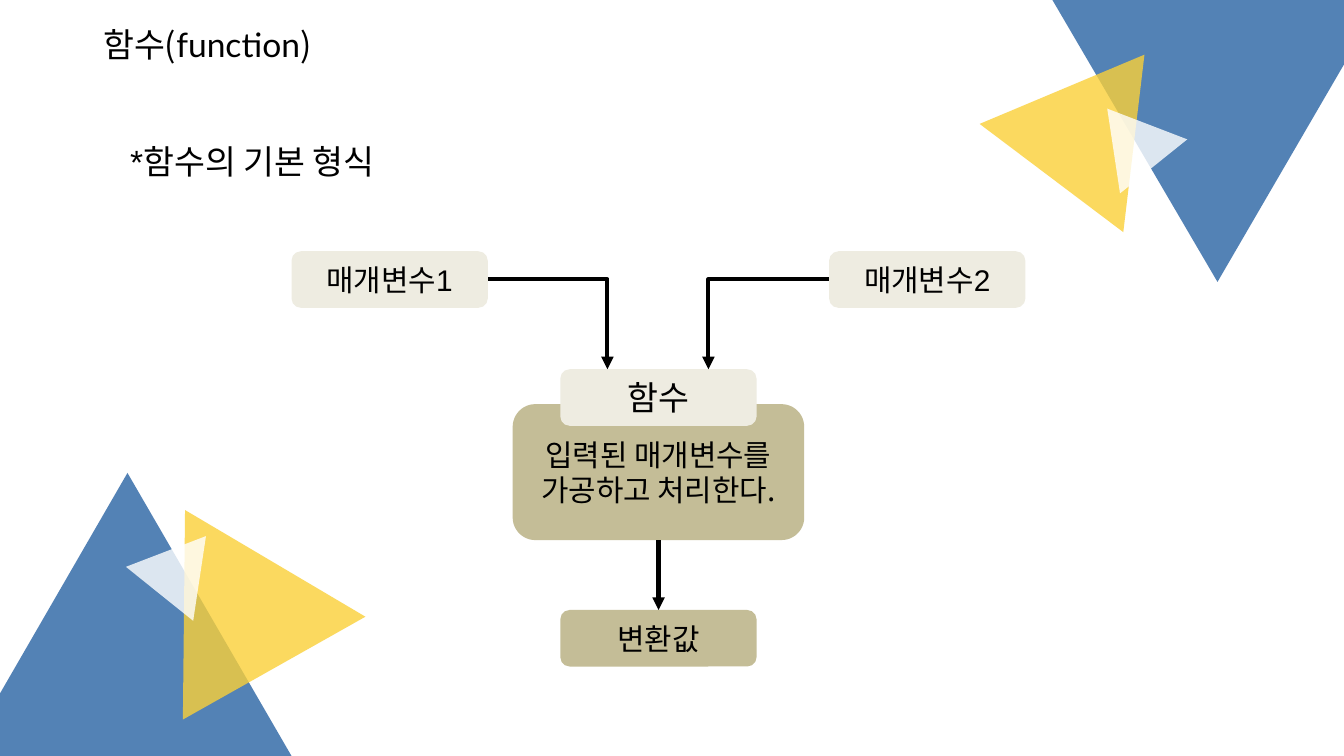
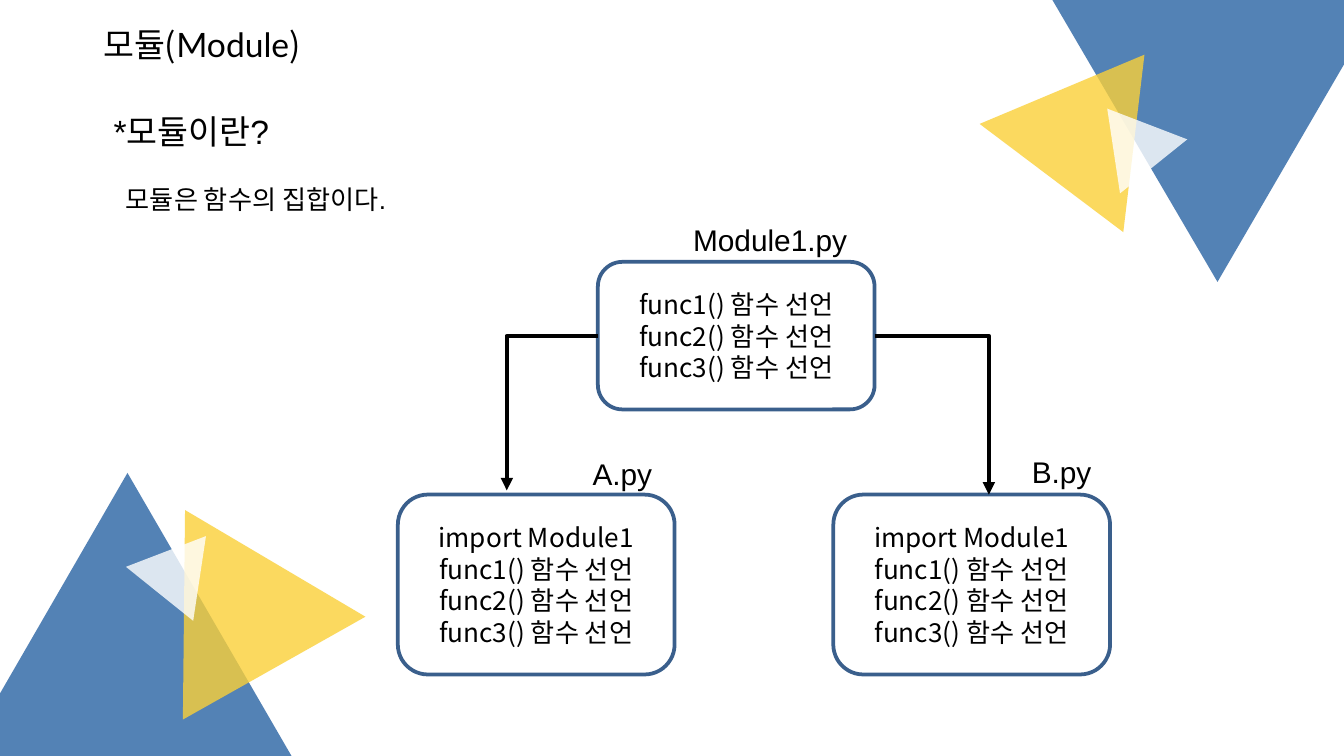
from dataclasses import dataclass

from lxml.etree import SubElement
from pptx import Presentation
from pptx.dml.color import RGBColor
from pptx.enum.shapes import MSO_CONNECTOR, MSO_SHAPE
from pptx.enum.text import MSO_ANCHOR, MSO_AUTO_SIZE, PP_ALIGN
from pptx.oxml.ns import qn
from pptx.presentation import Presentation as Deck
from pptx.shapes.autoshape import Shape
from pptx.shapes.connector import Connector
from pptx.slide import Slide
from pptx.text.text import _Paragraph as Paragraph
from pptx.util import Cm, Pt

BLUE = RGBColor(0x29, 0x63, 0xA3)
YELLOW = RGBColor(0xFA, 0xD0, 0x38)
WHITE = RGBColor(0xFF, 0xFF, 0xFF)
BLACK = RGBColor(0x00, 0x00, 0x00)
TAN = RGBColor(0xC4, 0xBD, 0x97)
CREAM = RGBColor(0xEE, 0xEC, 0xE1)
OUTLINE = RGBColor(0x3A, 0x5F, 0x8C)

HANGUL = "Noto Sans CJK KR"
LATIN = "Lato"
BODY = "Arial"

SLIDE_WIDTH, SLIDE_HEIGHT = 25.4, 14.29
TITLE_SIZE = 18
OPACITY = 80

NODE_WIDTH, NODE_HEIGHT = 3.71, 1.07
NODE_LEFT, NODE_STEP = 5.51, 5.08
PARAMETER_TOP, FUNCTION_TOP, RETURN_TOP = 4.75, 6.98, 11.53

FILE_WIDTH = 5.23
FILE_TOP = 9.35
FUNCTIONS = [f"func{number}() 함수 선언" for number in (1, 2, 3)]


@dataclass(frozen=True)
class Triangle:
    left: float
    top: float
    width: float
    height: float
    rotation: float
    color: RGBColor


@dataclass(frozen=True)
class Label:
    text: str
    left: float
    top: float
    width: float
    height: float
    size: int


@dataclass(frozen=True)
class Node:
    lines: list[str]
    left: float
    top: float
    width: float = NODE_WIDTH
    height: float = NODE_HEIGHT
    size: int = 16
    fill: RGBColor | None = None
    font: str = HANGUL


CORNERS = [
    [(2.41, 8.94), (5.51, SLIDE_HEIGHT), (0, SLIDE_HEIGHT), (0, 13.11)],
    [(19.89, 0), (SLIDE_WIDTH, 0), (SLIDE_WIDTH, 1.22), (23.01, 5.33)],
]
TRIANGLES = [
    Triangle(19.05, 0.74, 3.4, 2.92, 37, YELLOW),
    Triangle(2.36, 9.42, 3.96, 3.43, 330.6, YELLOW),
    Triangle(2.64, 9.98, 1.63, 1.4, 38.8, WHITE),
    Triangle(20.55, 1.9, 1.63, 1.4, 321.2, WHITE),
]


def paint_translucent(shape: Shape, color: RGBColor) -> None:
    shape.shadow.inherit = False
    shape.line.fill.background()
    shape.fill.solid()
    shape.fill.fore_color.rgb = color
    tint = shape._element.spPr.find(qn("a:solidFill")).find(qn("a:srgbClr"))
    SubElement(tint, qn("a:alpha"), val=str(OPACITY * 1000))


def draw_decoration(page: Slide) -> None:
    for corner in CORNERS:
        points = [(Cm(x), Cm(y)) for x, y in corner]
        builder = page.shapes.build_freeform(*points[0])
        builder.add_line_segments(points[1:], close=True)
        paint_translucent(builder.convert_to_shape(), BLUE)
    for item in TRIANGLES:
        triangle = page.shapes.add_shape(
            MSO_SHAPE.ISOSCELES_TRIANGLE,
            Cm(item.left), Cm(item.top), Cm(item.width), Cm(item.height),
        )
        triangle.rotation = item.rotation
        paint_translucent(triangle, item.color)


def style_paragraph(para: Paragraph, size: int, font: str) -> None:
    para.font.size = Pt(size)
    para.font.color.rgb = BLACK
    para.font.name = font
    defaults = para._p.get_or_add_pPr().find(qn("a:defRPr"))
    SubElement(defaults, qn("a:ea"), typeface=HANGUL)


def draw_label(page: Slide, label: Label) -> Paragraph:
    box = page.shapes.add_textbox(
        Cm(label.left), Cm(label.top), Cm(label.width), Cm(label.height)
    )
    box.text_frame.word_wrap = True
    box.text_frame.auto_size = MSO_AUTO_SIZE.SHAPE_TO_FIT_TEXT
    para = box.text_frame.paragraphs[0]
    para.text = label.text
    style_paragraph(para, label.size, BODY)
    return para


def draw_title(page: Slide, korean: str, english: str) -> None:
    para = draw_label(page, Label("", 1.7, 0.33, 7.62, 1.02, TITLE_SIZE))
    for text, font in ((f"{korean}(", HANGUL), (english, LATIN), (")", HANGUL)):
        span = para.add_run()
        span.text = text
        span.font.name = font


def draw_node(page: Slide, node: Node) -> Shape:
    box = page.shapes.add_shape(
        MSO_SHAPE.ROUNDED_RECTANGLE,
        Cm(node.left), Cm(node.top), Cm(node.width), Cm(node.height),
    )
    box.shadow.inherit = False
    if node.fill is None:
        box.fill.background()
        box.line.color.rgb = OUTLINE
        box.line.width = Pt(2)
    else:
        box.fill.solid()
        box.fill.fore_color.rgb = node.fill
        box.line.fill.background()
    frame = box.text_frame
    frame.word_wrap = True
    frame.vertical_anchor = MSO_ANCHOR.MIDDLE
    frame.text = "\n".join(node.lines)
    for para in frame.paragraphs:
        para.alignment = PP_ALIGN.CENTER
        style_paragraph(para, node.size, node.font)
    return box


def draw_arrow(
    page: Slide, start: tuple[float, float], end: tuple[float, float], bent: bool = True
) -> Connector:
    kind = MSO_CONNECTOR.ELBOW if bent else MSO_CONNECTOR.STRAIGHT
    arrow = page.shapes.add_connector(
        kind, Cm(start[0]), Cm(start[1]), Cm(end[0]), Cm(end[1])
    )
    arrow.line.color.rgb = BLACK
    arrow.line.width = Pt(2.25)
    properties = arrow._element.spPr
    if bent:
        properties.find(qn("a:prstGeom")).set("prst", "bentConnector2")
    SubElement(properties.find(qn("a:ln")), qn("a:tailEnd"), type="triangle")
    SubElement(properties, qn("a:effectLst"))
    return arrow


def add_page(deck: Deck, korean: str, english: str) -> Slide:
    page = deck.slides.add_slide(deck.slide_layouts[6])
    draw_decoration(page)
    draw_title(page, korean, english)
    return page


def build_function_page(deck: Deck) -> None:
    page = add_page(deck, "함수", "function")
    middle = NODE_LEFT + NODE_STEP
    body = draw_node(page, Node(
        ["입력된 매개변수를", "가공하고 처리한다."], 9.69, 7.64, 5.51, 2.57, fill=TAN
    ))
    draw_node(page, Node(["함수"], middle, FUNCTION_TOP, size=18, fill=CREAM))
    result = draw_node(page, Node(["변환값"], middle, RETURN_TOP, fill=TAN))

    for start, end in ((9.12, 11.48), (15.75, 13.39)):
        draw_arrow(page, (start, 5.28), (end, FUNCTION_TOP))
    for index in range(2):
        draw_node(page, Node(
            [f"매개변수{index + 1}"], NODE_LEFT + 2 * NODE_STEP * index,
            PARAMETER_TOP, fill=CREAM, font=BODY,
        ))

    center = middle + NODE_WIDTH / 2
    arrow = draw_arrow(page, (center, 10.21), (center, RETURN_TOP), bent=False)
    arrow.begin_connect(body, 2)
    arrow.end_connect(result, 0)
    draw_label(page, Label("*함수의 기본 형식", 2.21, 2.54, 6.58, 1.02, 18))


def build_module_page(deck: Deck) -> None:
    page = add_page(deck, "모듈", "Module")
    importing = ["import Module1", *FUNCTIONS]
    for node in (
        Node(FUNCTIONS, 11.3, 4.95, FILE_WIDTH, 2.79, size=14),
        Node(importing, 7.52, FILE_TOP, FILE_WIDTH, 3.4, size=14),
        Node(importing, 15.75, FILE_TOP, FILE_WIDTH, 3.4, size=14),
    ):
        draw_node(page, node)
    for label in (
        Label("*모듈이란?", 1.9, 1.98, 10.54, 1.02, 18),
        Label("모듈은 함수의 집합이다.", 2.13, 3.35, 11.79, 0.86, 14),
        Label("Module1.py", 12.85, 4.06, 3.99, 0.94, 16),
        Label("A.py", 10.95, 8.48, 1.8, 0.94, 16),
        Label("B.py", 19.25, 8.46, 1.8, 0.94, 16),
    ):
        draw_label(page, label)
    draw_arrow(page, (11.3, 6.35), (9.58, 9.27))
    draw_arrow(page, (16.53, 6.35), (18.69, FILE_TOP))


def main() -> None:
    deck = Presentation()
    deck.slide_width = Cm(SLIDE_WIDTH)
    deck.slide_height = Cm(SLIDE_HEIGHT)
    build_function_page(deck)
    build_module_page(deck)
    deck.save("out.pptx")


if __name__ == "__main__":
    main()
